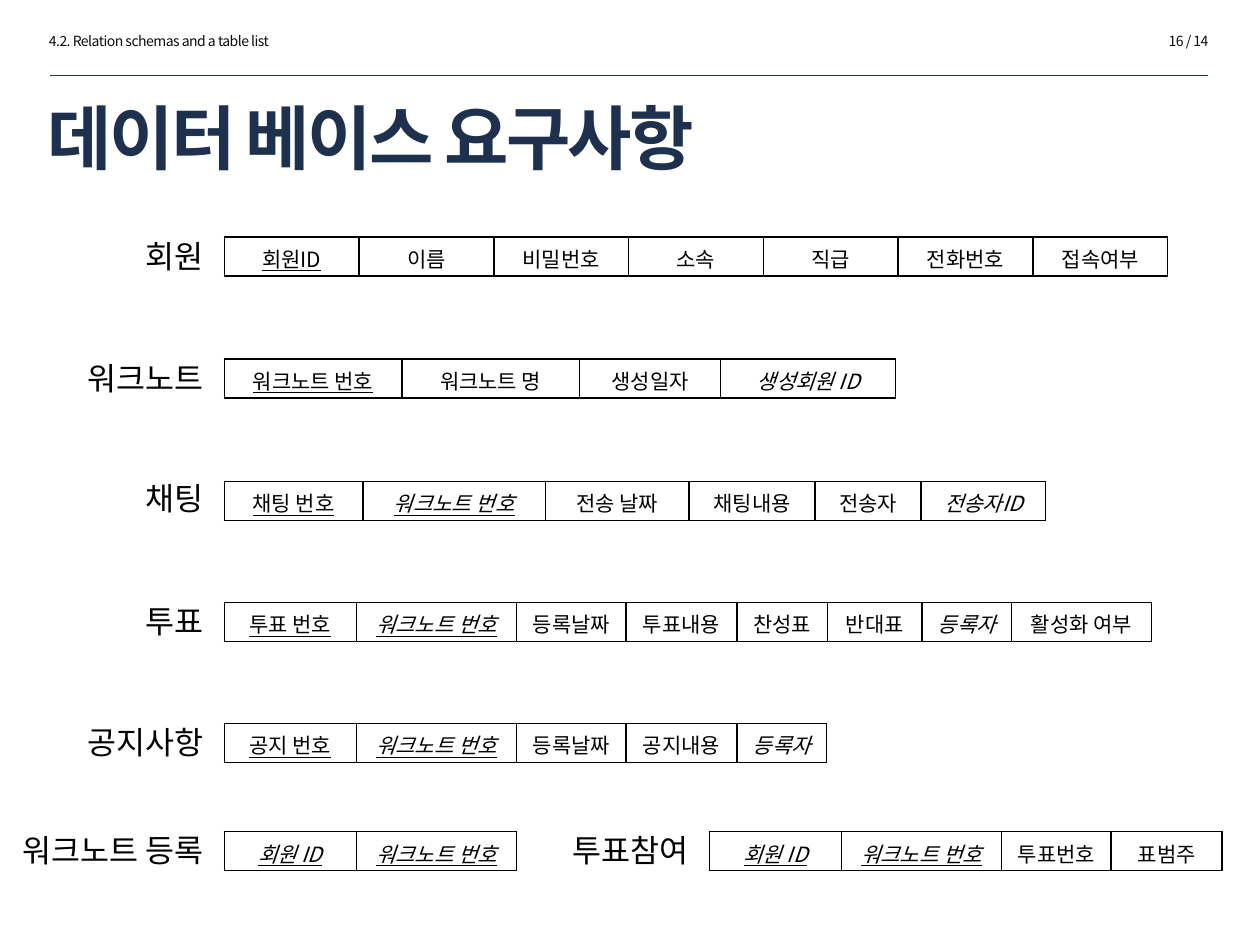
from lxml.etree import SubElement
from pptx import Presentation
from pptx.dml.color import RGBColor
from pptx.enum.shapes import MSO_CONNECTOR
from pptx.enum.text import MSO_ANCHOR, PP_ALIGN
from pptx.oxml import parse_xml
from pptx.oxml.ns import nsdecls, qn
from pptx.util import Inches, Pt

FONT = "Noto Sans CJK KR"
BLACK = RGBColor(0x00, 0x00, 0x00)
HEADER_GRAY = RGBColor(0x0D, 0x0D, 0x0D)
NAVY = RGBColor(0x1D, 0x31, 0x4E)
RULE_NAVY = RGBColor(0x1C, 0x31, 0x4E)

PLAIN, KEY, FOREIGN, FOREIGN_KEY = "", "u", "i", "ui"
TABLE_LEFT = 1.78
WORKNOTE_KEY = ("워크노트 번호", 1.27, FOREIGN_KEY)
MEMBER_KEY = ("회원 ID", 1.05, FOREIGN_KEY)
REGISTERED = ("등록날짜", 0.87, PLAIN)

# name, table left, table top, label top, label width, columns (text, width, style)
RELATIONS = [
    ("회원", TABLE_LEFT, 1.88, 1.83, 1.43,
     [("회원ID", 1.07, KEY)]
     + [(column, 1.07, PLAIN) for column in
        ("이름", "비밀번호", "소속", "직급", "전화번호", "접속여부")]),
    ("워크노트", TABLE_LEFT, 2.85, 2.8, 1.43,
     [("워크노트 번호", 1.41, KEY), ("워크노트 명", 1.41, PLAIN),
      ("생성일자", 1.12, PLAIN), ("생성회원 ID", 1.39, FOREIGN)]),
    ("채팅", TABLE_LEFT, 3.82, 3.75, 1.43,
     [("채팅 번호", 1.1, KEY), ("워크노트 번호", 1.45, FOREIGN_KEY),
      ("전송 날짜", 1.14, PLAIN), ("채팅내용", 1, PLAIN),
      ("전송자", 0.84, PLAIN), ("전송자ID", 0.99, FOREIGN)]),
    ("투표", TABLE_LEFT, 4.78, 4.73, 1.43,
     [("투표 번호", 1.05, KEY), WORKNOTE_KEY, REGISTERED,
      ("투표내용", 0.88, PLAIN), ("찬성표", 0.72, PLAIN),
      ("반대표", 0.75, PLAIN), ("등록자", 0.71, FOREIGN),
      ("활성화 여부", 1.11, PLAIN)]),
    ("공지사항", TABLE_LEFT, 5.74, 5.69, 1.43,
     [("공지 번호", 1.05, KEY), WORKNOTE_KEY, REGISTERED,
      ("공지내용", 0.88, PLAIN), ("등록자", 0.71, FOREIGN)]),
    ("워크노트 등록", TABLE_LEFT, 6.6, 6.55, 1.91,
     [MEMBER_KEY, WORKNOTE_KEY]),
    ("투표참여", 5.63, 6.6, 6.55, 1.91,
     [MEMBER_KEY, WORKNOTE_KEY, ("투표번호", 0.87, PLAIN),
      ("표범주", 0.88, PLAIN)]),
]


def write(frame, text, size, color, align=PP_ALIGN.LEFT, bold=False,
          style=PLAIN, spacing=0):
    """Fill a text frame with one formatted line; spacing is in points."""
    frame.text = text
    paragraph = frame.paragraphs[0]
    paragraph.alignment = align
    for run in paragraph.runs:
        font = run.font
        font.size, font.name, font.bold = Pt(size), FONT, bold
        font.color.rgb = color
        font.italic = "i" in style
        font.underline = "u" in style
        properties = run._r.get_or_add_rPr()
        SubElement(properties, qn("a:ea"), typeface=FONT)
        if spacing:
            properties.set("spc", str(round(spacing * 100)))


def add_text(slide, box, text, size, color, anchor=MSO_ANCHOR.TOP, **options):
    frame = slide.shapes.add_textbox(*map(Inches, box)).text_frame
    frame.word_wrap = True
    frame.vertical_anchor = anchor
    write(frame, text, size, color, **options)


def add_header(slide, left, top, width):
    add_text(slide, (left, top, 3, 0.24),
             "4.2. Relation schemas and a table list", 8, HEADER_GRAY,
             spacing=-0.3)
    add_text(slide, (left + width - 1.73, top, 1.73, 0.24), "16 / 14", 8,
             HEADER_GRAY, align=PP_ALIGN.RIGHT, spacing=-0.3)
    rule_y = Inches(top + 0.39)
    rule = slide.shapes.add_connector(
        MSO_CONNECTOR.STRAIGHT, Inches(left + 0.11), rule_y,
        Inches(left + width - 0.1), rule_y)
    rule.line.color.rgb = RULE_NAVY
    rule.line.width = Pt(0.25)
    SubElement(rule._element.spPr, qn("a:effectLst"))


def outline_cell(cell):
    properties = cell._tc.get_or_add_tcPr()
    for index, side in enumerate(("lnL", "lnR", "lnT", "lnB")):
        properties.insert(index, parse_xml(
            f'<a:{side} {nsdecls("a")} w="{Pt(1)}"><a:solidFill>'
            f'<a:srgbClr val="{BLACK}"/></a:solidFill></a:{side}>'))


def add_relation(slide, name, left, top, label_top, label_width, columns):
    """Place a relation's table at left, top with its name on the left."""
    add_text(slide, (left - 0.07 - label_width, label_top, label_width, 0.4),
             name, 18, BLACK, align=PP_ALIGN.RIGHT)
    total_width = sum(width for _, width, _ in columns)
    table = slide.shapes.add_table(
        1, len(columns), Inches(left), Inches(top),
        Inches(total_width), Inches(0.31)).table
    table.first_row = table.horz_banding = False
    for index, (text, width, style) in enumerate(columns):
        table.columns[index].width = Inches(width)
        cell = table.cell(0, index)
        cell.vertical_anchor = MSO_ANCHOR.MIDDLE
        cell.fill.background()
        outline_cell(cell)
        write(cell.text_frame, text, 12, BLACK, align=PP_ALIGN.CENTER,
              style=style)


def main():
    deck = Presentation()
    deck.slide_width, deck.slide_height = Inches(10), Inches(7.5)
    slide = deck.slides.add_slide(deck.slide_layouts[6])
    add_header(slide, 0.29, 0.21, 9.4)
    add_text(slide, (0.28, 0.58, 9.16, 1), "데이터 베이스 요구사항", 40, NAVY,
             anchor=MSO_ANCHOR.MIDDLE, bold=True, spacing=-1.5)
    for relation in RELATIONS:
        add_relation(slide, *relation)
    deck.save("out.pptx")


if __name__ == "__main__":
    main()
